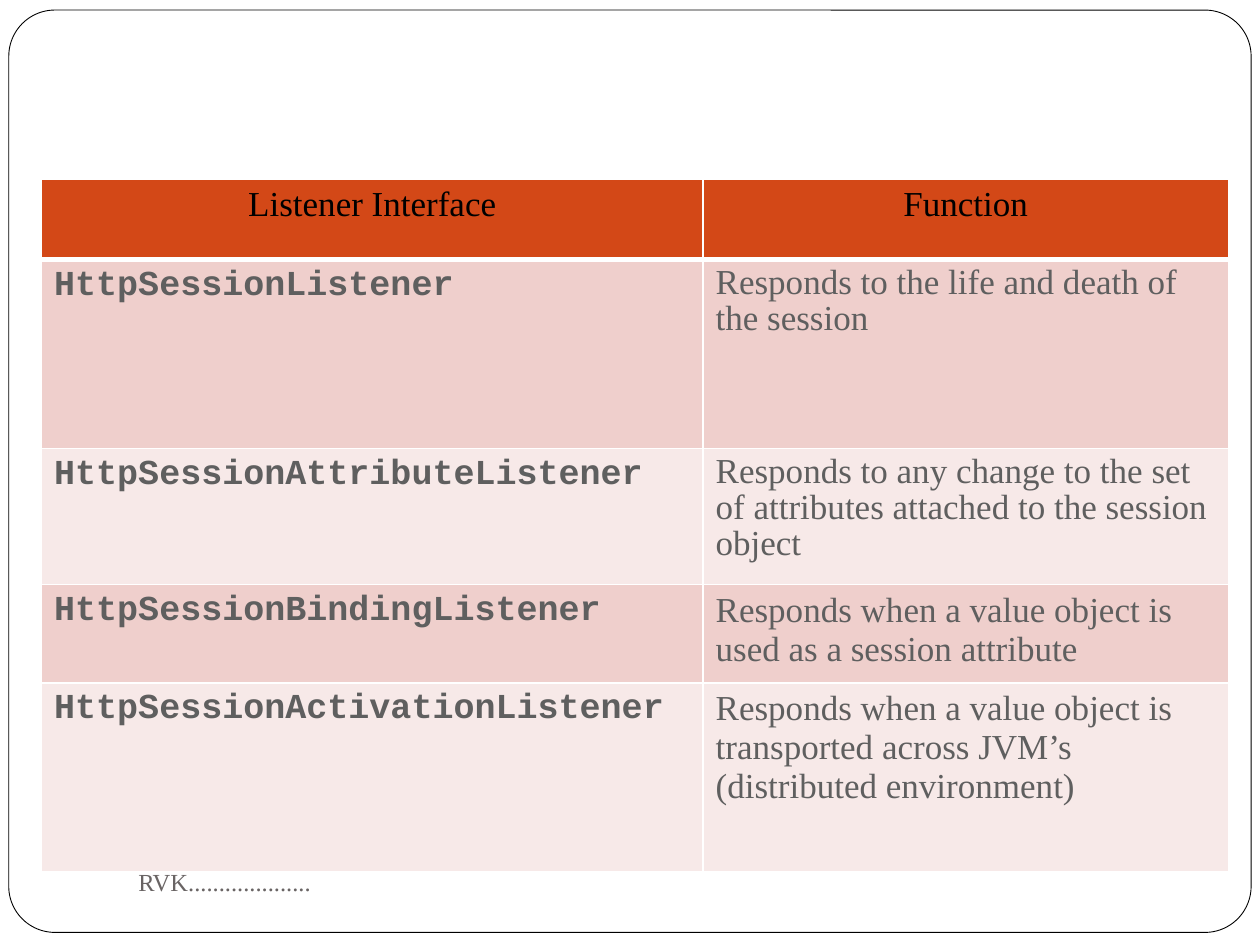
from lxml import etree
from pptx import Presentation
from pptx.dml.color import RGBColor
from pptx.enum import shapes, text
from pptx.oxml.ns import qn
from pptx.util import Inches, Pt

SERIF, MONO = "Times New Roman", "Courier New"


def rgb(value):
    return RGBColor.from_string(value)


def add_run(p, words, font, size, color, bold=False):
    r = p.add_run()
    r.text = words
    r.font.name = font
    r.font.size = Pt(size)
    r.font.bold = bold
    r.font.color.rgb = rgb(color)


prs = Presentation()
prs.slide_width, prs.slide_height = Inches(10), Inches(7.5)
s = prs.slides.add_slide(prs.slide_layouts[6])

# Rounded frame
frame = s.shapes.add_shape(shapes.MSO_SHAPE.ROUNDED_RECTANGLE,
                           Inches(0.07), Inches(0.08), Inches(9.86), Inches(7.32))
frame.adjustments[0] = 0.05
frame.shadow.inherit = False
frame.fill.solid()
frame.fill.fore_color.rgb = rgb("FFFFFF")
frame.line.color.rgb = rgb("000000")
frame.line.width = Pt(0.5)

# Footer
footer = s.shapes.add_textbox(Inches(1), Inches(6.75), Inches(4.33), Inches(0.5))
tf = footer.text_frame
tf.word_wrap = True
tf.vertical_anchor = text.MSO_ANCHOR.MIDDLE
add_run(tf.paragraphs[0], "RVK....................", SERIF, 14, "696464")

# Table of listeners
rows = [
    ("Listener Interface", "Function"),
    ("HttpSessionListener", "Responds to the life and death of the session"),
    ("HttpSessionAttributeListener",
     "Responds to any change to the set of attributes attached to the session object"),
    ("HttpSessionBindingListener",
     "Responds when a value object is used as a session attribute"),
    ("HttpSessionActivationListener",
     "Responds when a value object is transported across JVM’s (distributed environment)"),
]
widths = [5.25, 4.17]
heights = [0.64, 1.5, 1.08, 0.78, 1.5]
table = s.shapes.add_table(len(rows), len(widths), Inches(0.33), Inches(1.42),
                           Inches(sum(widths)), Inches(sum(heights))).table
table.first_row = table.horz_banding = False
for column, width in zip(table.columns, widths):
    column.width = Inches(width)

for i, (row, height) in enumerate(zip(rows, heights)):
    table.rows[i].height = Inches(height)
    header = i == 0
    for j, words in enumerate(row):
        cell = table.cell(i, j)

        # White borders, heavier below the header
        tcPr = cell._tc.get_or_add_tcPr()
        for side in "LRTB":
            heavy = (header and side == "B") or (i == 1 and side == "T")
            ln = etree.SubElement(tcPr, qn("a:ln" + side), w=str(Pt(3 if heavy else 1)))
            fill = etree.SubElement(ln, qn("a:solidFill"))
            etree.SubElement(fill, qn("a:srgbClr"), val="FFFFFF")

        cell.fill.solid()
        cell.fill.fore_color.rgb = rgb("D34817" if header else
                                       "EFCFCC" if i % 2 else "F7E9E8")
        p = cell.text_frame.paragraphs[0]
        if header:
            p.alignment = text.PP_ALIGN.CENTER
        elif j == 1 and i <= 2:
            p.line_spacing = 0.93
        code = not header and j == 0
        add_run(p, words, MONO if code else SERIF, 20,
                "000000" if header else "5F5F5F", bold=code)

prs.save("out.pptx")
